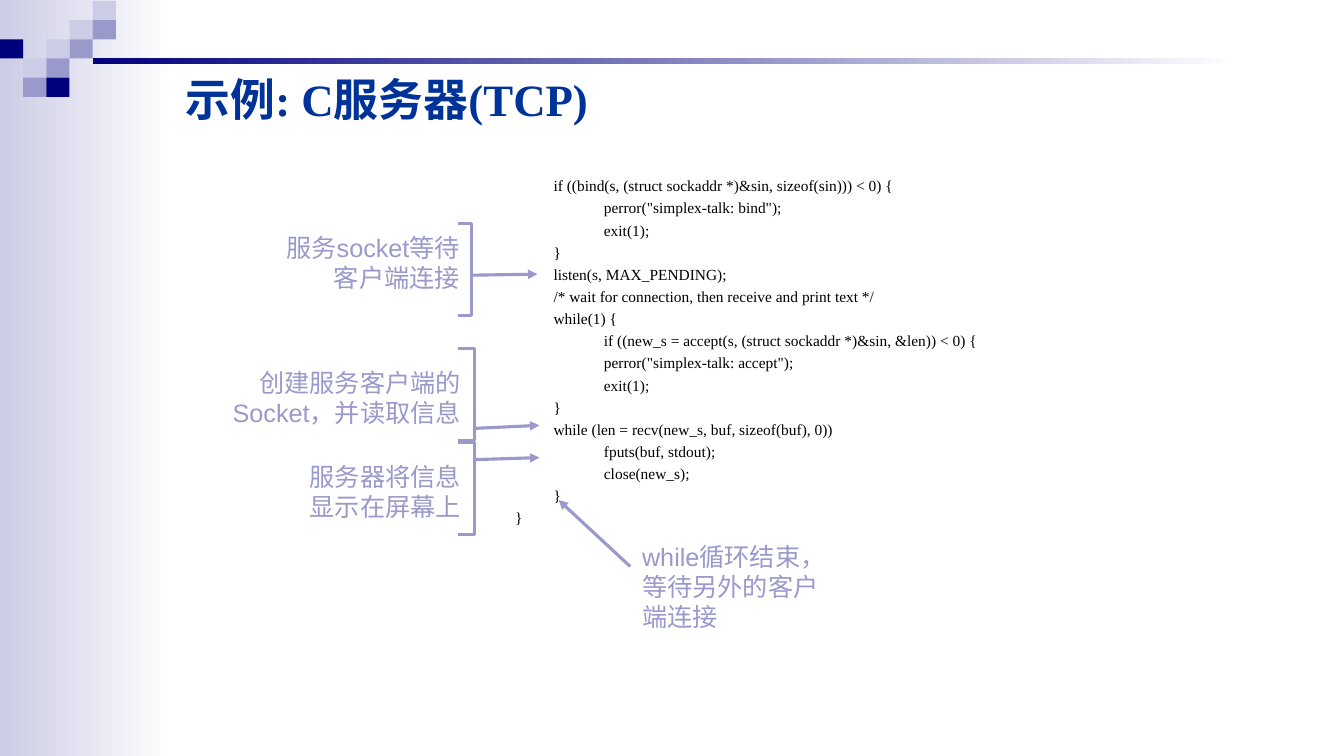
"""Build the slide on a TCP server in C."""
from dataclasses import dataclass

import lxml.etree
import pptx
import pptx.dml.color
import pptx.enum.shapes
import pptx.enum.text
import pptx.oxml.ns
import pptx.util

Inches = pptx.util.Inches
Pt = pptx.util.Pt
Align = pptx.enum.text.PP_ALIGN
Anchor = pptx.enum.text.MSO_ANCHOR


@dataclass(frozen=True)
class Theme:
    """Colours, fonts and sizes of the slide."""
    navy: str = "00007D"
    mid: str = "9999CC"
    pale: str = "CCCCE6"
    white: str = "FFFFFF"
    head: str = "003399"
    ink: str = "000000"
    serif: str = "Times New Roman"
    sans: str = "Arial"
    title: int = 32
    code: int = 11
    note: int = 18
    line: float = 2.25


THEME = Theme()

SQUARES = [
    (4, 0, THEME.pale), (3, 1, THEME.pale), (4, 1, THEME.mid),
    (0, 2, THEME.navy), (2, 2, THEME.pale), (3, 2, THEME.mid),
    (1, 3, THEME.pale), (2, 3, THEME.mid),
    (1, 4, THEME.mid), (2, 4, THEME.navy),
]

CODE = """\
\tif ((bind(s, (struct sockaddr *)&sin, sizeof(sin))) < 0) {
\t\tperror("simplex-talk: bind");
\t\texit(1);
\t}
\tlisten(s, MAX_PENDING);
\t/* wait for connection, then receive and print text */
\twhile(1) {
\t\tif ((new_s = accept(s, (struct sockaddr *)&sin, &len)) < 0) {
\t\tperror("simplex-talk: accept");
\t\texit(1);
\t}
\twhile (len = recv(new_s, buf, sizeof(buf), 0))
\t\tfputs(buf, stdout);
\t\tclose(new_s);
\t}
}""".split("\n")

NOTES = [
    ((2.72, 2.25, 1.94, 0.71), Align.RIGHT, ["服务socket等待", "客户端连接"]),
    ((2.18, 3.59, 2.49, 0.71), Align.RIGHT, ["创建服务客户端的", "Socket，并读取信息"]),
    ((2.95, 4.52, 1.72, 0.71), Align.RIGHT, ["服务器将信息", "显示在屏幕上"]),
    ((6.27, 5.32, 2.04, 1), Align.LEFT, ["while循环结束，", "等待另外的客户", "端连接"]),
]

BRACES = [(2.22, 4.68), (3.46, 4.71), (4.39, 4.71)]

ARROWS = [
    (4.69, 2.73, 5.33, 2.72),
    (4.7, 4.25, 5.35, 4.22),
    (4.7, 4.56, 5.35, 4.54),
    (6.25, 5.62, 5.54, 4.96),
]


def rgb(code):
    """Return the colour for a hex code."""
    return pptx.dml.color.RGBColor.from_string(code)


def apply(item, form):
    """Set each named value on the item."""
    for name, value in form.items():
        setattr(item, name, value)


def add(node, tag, **attrs):
    """Append a drawing element to a node."""
    return lxml.etree.SubElement(node, pptx.oxml.ns.qn(tag), attrs)


def write(frame, lines, font, color, form, code=False):
    """Fill a text frame with formatted lines."""
    frame.text = lines[0]
    for line in lines[1:]:
        frame.add_paragraph().text = line
    for num, para in enumerate(frame.paragraphs):
        if code:
            props = para._p.get_or_add_pPr()
            apply(para, {"space_before": Pt(2.6 if num else 0)})
            props.set("marL", str(Inches(0.38)))
            props.set("indent", str(-Inches(0.38)))
            add(props, "a:buNone")
        apply(para, form)
        for run in para.runs:
            apply(run.font, font)
            run.font.color.rgb = rgb(color)


def place(shape, box):
    """Move a shape to a box in inches."""
    names = ("left", "top", "width", "height")
    apply(shape, dict(zip(names, map(Inches, box))))


def block(slide, box, *colors):
    """Add a plain or left-to-right shaded rectangle."""
    kind = pptx.enum.shapes.MSO_SHAPE.RECTANGLE
    shape = slide.shapes.add_shape(kind, *map(Inches, box))
    shape.shadow.inherit = False
    shape.line.fill.background()
    if len(colors) == 1:
        shape.fill.solid()
        shape.fill.fore_color.rgb = rgb(colors[0])
        return
    shape.fill.gradient()
    shape.fill.gradient_angle = 0
    for stop, color in zip(shape.fill.gradient_stops, colors):
        stop.color.rgb = rgb(color)


def stroke(line):
    """Give a line the note colour and width."""
    line.color.rgb = rgb(THEME.mid)
    line.width = Pt(THEME.line)


def brace(slide, top, right):
    """Add a square bracket open to the left."""
    left, low = 4.54, top + 0.91
    form = slide.shapes.build_freeform(Inches(left), Inches(top))
    points = [(right, top), (right, low), (left, low)]
    form.add_line_segments([tuple(map(Inches, p)) for p in points], close=False)
    shape = form.convert_to_shape()
    shape.shadow.inherit = False
    shape.fill.background()
    stroke(shape.line)


def arrow(slide, ends):
    """Add a line with an arrowhead at its end."""
    kind = pptx.enum.shapes.MSO_CONNECTOR.STRAIGHT
    line = slide.shapes.add_connector(kind, *map(Inches, ends))
    stroke(line.line)
    add(line.line._get_or_add_ln(), "a:tailEnd", type="triangle")
    add(line._element.spPr, "a:effectLst")


def note(slide, box, align, lines):
    """Add a note beside the code."""
    frame = slide.shapes.add_textbox(*map(Inches, box)).text_frame
    apply(frame, {"word_wrap": True, "vertical_anchor": Anchor.MIDDLE})
    font = {"name": THEME.sans, "size": Pt(THEME.note)}
    write(frame, lines, font, THEME.mid, {"alignment": align})


def holder(shape, box, anchor, lines, font, color, code=False):
    """Move and fill a placeholder."""
    place(shape, box)
    frame = shape.text_frame
    apply(frame, {"word_wrap": True, "vertical_anchor": anchor,
                  "auto_size": pptx.enum.text.MSO_AUTO_SIZE.NONE})
    write(frame, lines, font, color, {"alignment": Align.LEFT}, code)


def main():
    """Build and save the slide."""
    deck = pptx.Presentation()
    apply(deck, {"slide_width": Inches(13.33), "slide_height": Inches(7.5)})
    slide = deck.slides.add_slide(deck.slide_layouts[1])
    block(slide, (0, 0, 1.73, 7.5), THEME.pale, THEME.white)
    for col, row, color in SQUARES:
        block(slide, (col * 0.23, 0.01 + row * 0.19, 0.23, 0.19), color)
    block(slide, (0.92, 0.58, 11.37, 0.06), THEME.navy, THEME.white)
    title, body = slide.placeholders
    holder(title, (1.74, 0.66, 9.06, 0.64), Anchor.MIDDLE, ["示例: C服务器(TCP)"],
           {"name": THEME.serif, "size": Pt(THEME.title), "bold": True}, THEME.head)
    holder(body, (5.01, 1.7, 4.88, 5.59), Anchor.TOP, CODE,
           {"name": THEME.serif, "size": Pt(THEME.code)}, THEME.ink, code=True)
    for item in NOTES:
        note(slide, *item)
    for top, right in BRACES:
        brace(slide, top, right)
    for ends in ARROWS:
        arrow(slide, ends)
    deck.save("out.pptx")


if __name__ == "__main__":
    main()
